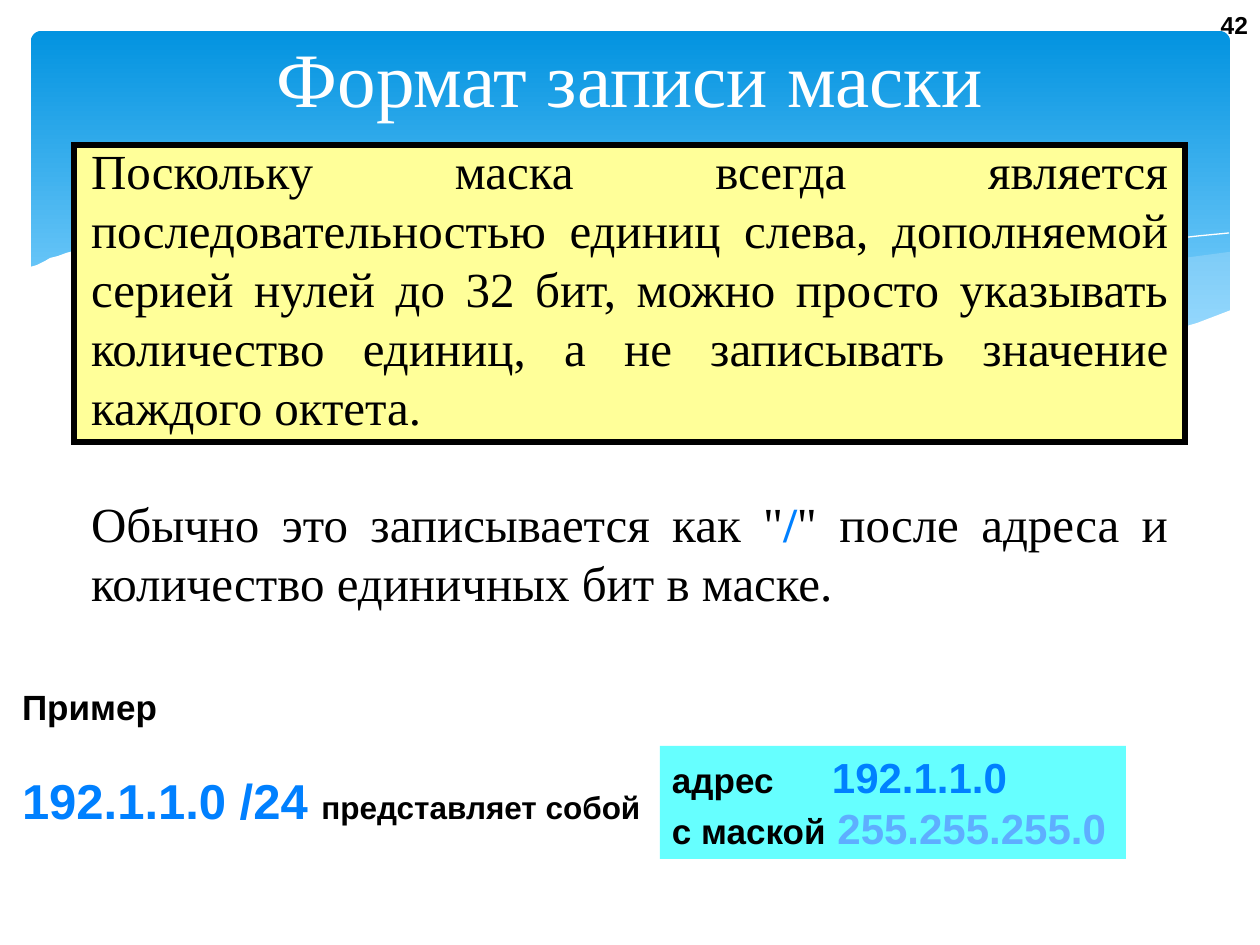
from dataclasses import dataclass
from lxml.etree import SubElement
from pptx import Presentation
from pptx.dml.color import RGBColor
from pptx.enum.shapes import MSO_SHAPE
from pptx.enum.text import MSO_ANCHOR, PP_ALIGN
from pptx.oxml.ns import qn
from pptx.util import Emu, Pt

SCALE = 914400 / 126
INSET = 12


@dataclass(frozen=True)
class Theme:
    serif: str = "Times New Roman"
    sans: str = "Arial"
    black: str = "000000"
    white: str = "FFFFFF"
    blue: str = "0080FF"
    pale_blue: str = "5EAEFF"
    yellow: str = "FFFF99"
    cyan: str = "66FFFF"
    sky_top: str = "0293E0"
    sky_bottom: str = "83D3FE"
    haze: str = "C6E7FC"
    title: int = 44
    body: int = 28
    address: int = 24
    label: int = 20
    remark: int = 18
    number: int = 14


THEME = Theme()

HAZE = [(1229, 252), (1161, 261), (1085, 277), (949, 312), (833, 334), (905, 345),
        (969, 349), (1038, 350), (1099, 347), (1160, 338), (1213, 324), (1229, 311),
        (1230, 311), (1230, 252)]
STREAK = [(772, 324), (847, 304), (942, 281), (1053, 257), (1128, 244), (1198, 236),
          (1229, 233)]
WAVE = [(1231, 310), (1197, 323), (1159, 334), (1118, 342), (1071, 347), (1019, 349),
        (959, 347), (892, 340), (815, 330), (730, 315), (634, 294), (527, 268),
        (460, 254), (397, 244), (341, 237), (290, 233), (243, 232), (203, 232),
        (166, 234), (134, 238), (107, 243), (84, 248), (66, 253), (58, 256),
        (50, 258), (45, 261), (37, 265), (30, 267), (29, 268), (29, 415),
        (1231, 415)]


def px(*values):
    return [Emu(round(value * SCALE)) for value in values]


def color(value):
    return RGBColor.from_string(value)


def add_box(slide, *place, kind=MSO_SHAPE.RECTANGLE, fill=None, line=None, width=0):
    shape = slide.shapes.add_shape(kind, *px(*place))
    shape.shadow.inherit = False
    if fill:
        shape.fill.solid()
        shape.fill.fore_color.rgb = color(fill)
    if line:
        shape.line.color.rgb = color(line)
        shape.line.width = Pt(width)
        SubElement(shape.element.spPr.find(qn("a:ln")), qn("a:miter"), lim="800000")
    else:
        shape.line.fill.background()
    return shape


def add_outline(slide, points, fill=None, line=None, alpha=100):
    """Draw a filled outline, or an open hairline when no fill is given."""
    builder = slide.shapes.build_freeform(*points[0], scale=SCALE)
    builder.add_line_segments(points[1:], close=fill is not None)
    shape = builder.convert_to_shape()
    shape.shadow.inherit = False
    if fill:
        shape.fill.solid()
        shape.fill.fore_color.rgb = color(fill)
        if alpha < 100:
            rgb = shape.element.spPr.find(qn("a:solidFill"))[0]
            SubElement(rgb, qn("a:alpha"), val=str(alpha * 1000))
    else:
        shape.fill.background()
    if line:
        shape.line.color.rgb = color(line)
        shape.line.width = Pt(0)
    else:
        shape.line.fill.background()


def write_text(shape, paragraphs, font=THEME.sans, align=PP_ALIGN.LEFT,
               anchor=MSO_ANCHOR.TOP, gap=0, left=INSET, right=INSET, tab=None):
    """Fill a shape; each paragraph is a list of (text, size, color, bold) runs."""
    frame = shape.text_frame
    frame.word_wrap = True
    frame.vertical_anchor = anchor
    frame.margin_left, frame.margin_right, frame.margin_top, frame.margin_bottom = px(
        left, right, 6, 6)
    for index, runs in enumerate(paragraphs):
        paragraph = frame.add_paragraph() if index else frame.paragraphs[0]
        paragraph.alignment = align
        paragraph.line_spacing = 1.0
        paragraph.space_before = Pt(gap if index else 0)
        if tab:
            tabs = SubElement(paragraph._p.get_or_add_pPr(), qn("a:tabLst"))
            SubElement(tabs, qn("a:tab"), pos=str(px(tab)[0]), algn="l")
        for text, size, tint, bold in runs:
            run = paragraph.add_run()
            run.text = text
            run.font.name = font
            run.font.size = Pt(size)
            run.font.bold = bold
            run.font.color.rgb = color(tint)


def add_text(slide, place, paragraphs, **style):
    write_text(slide.shapes.add_textbox(*px(*place)), paragraphs, **style)


def add_backdrop(slide):
    panel = add_box(slide, 31, 31, 1199, 340, kind=MSO_SHAPE.ROUNDED_RECTANGLE)
    panel.adjustments[0] = 0.03
    panel.fill.gradient()
    panel.fill.gradient_angle = 270
    stops = ((0, THEME.sky_top), (0.9, THEME.sky_bottom))
    for stop, (position, tint) in zip(panel.fill.gradient_stops, stops):
        stop.position = position
        stop.color.rgb = color(tint)
    add_outline(slide, HAZE, fill=THEME.haze, alpha=29)
    add_outline(slide, STREAK, line=THEME.white)
    add_outline(slide, WAVE, fill=THEME.white)


def add_title(slide, text):
    title = slide.shapes.title
    title.left, title.top, title.width, title.height = px(63, 16, 1134, 122)
    title.element.getparent().append(title.element)
    write_text(title, [[(text, THEME.title, THEME.white, False)]], font=THEME.serif,
               align=PP_ALIGN.CENTER, anchor=MSO_ANCHOR.MIDDLE)


def add_explanation(slide):
    body, black = THEME.body, THEME.black
    add_text(slide, (79, 135, 1101, 484), [
        [("Поскольку маска всегда является последовательностью единиц слева, "
          "дополняемой серией нулей до 32 бит, можно просто указывать количество "
          "единиц, а не записывать значение каждого октета.", body, black, False)],
        [('Обычно это записывается как "', body, black, False),
         ("/", body, THEME.blue, True),
         ('" после адреса и количество единичных бит в маске.', body, black, False)],
    ], font=THEME.serif, align=PP_ALIGN.JUSTIFY, gap=33.6)


def add_example(slide):
    label, address, black = THEME.label, THEME.address, THEME.black
    add_text(slide, (10, 680, 650, 214), [
        [("Пример", label, black, True)],
        [("192.1.1.0 /24 ", THEME.body, THEME.blue, True),
         ("представляет собой", THEME.remark, black, True)],
    ], gap=24, right=0)
    result = add_box(slide, 660, 746, 466, 113, fill=THEME.cyan)
    write_text(result, [
        [("адрес\t", label, black, True), ("192.1.1.0", address, THEME.blue, True)],
        [("с маской", label, black, True), (" ", address, black, False),
         ("255.255.255.0", address, THEME.pale_blue, True)],
    ], tab=160)


def main():
    presentation = Presentation()
    presentation.slide_width, presentation.slide_height = px(1260, 945)
    slide = presentation.slides.add_slide(presentation.slide_layouts[5])
    add_backdrop(slide)
    add_box(slide, 74, 145, 1111, 297, fill=THEME.yellow, line=THEME.black, width=3)
    add_title(slide, "Формат записи маски")
    add_explanation(slide)
    add_text(slide, (1206, 0, 54, 50), [[("42", THEME.number, THEME.black, True)]],
             align=PP_ALIGN.RIGHT, anchor=MSO_ANCHOR.MIDDLE, left=0)
    add_example(slide)
    presentation.save("out.pptx")


if __name__ == "__main__":
    main()
